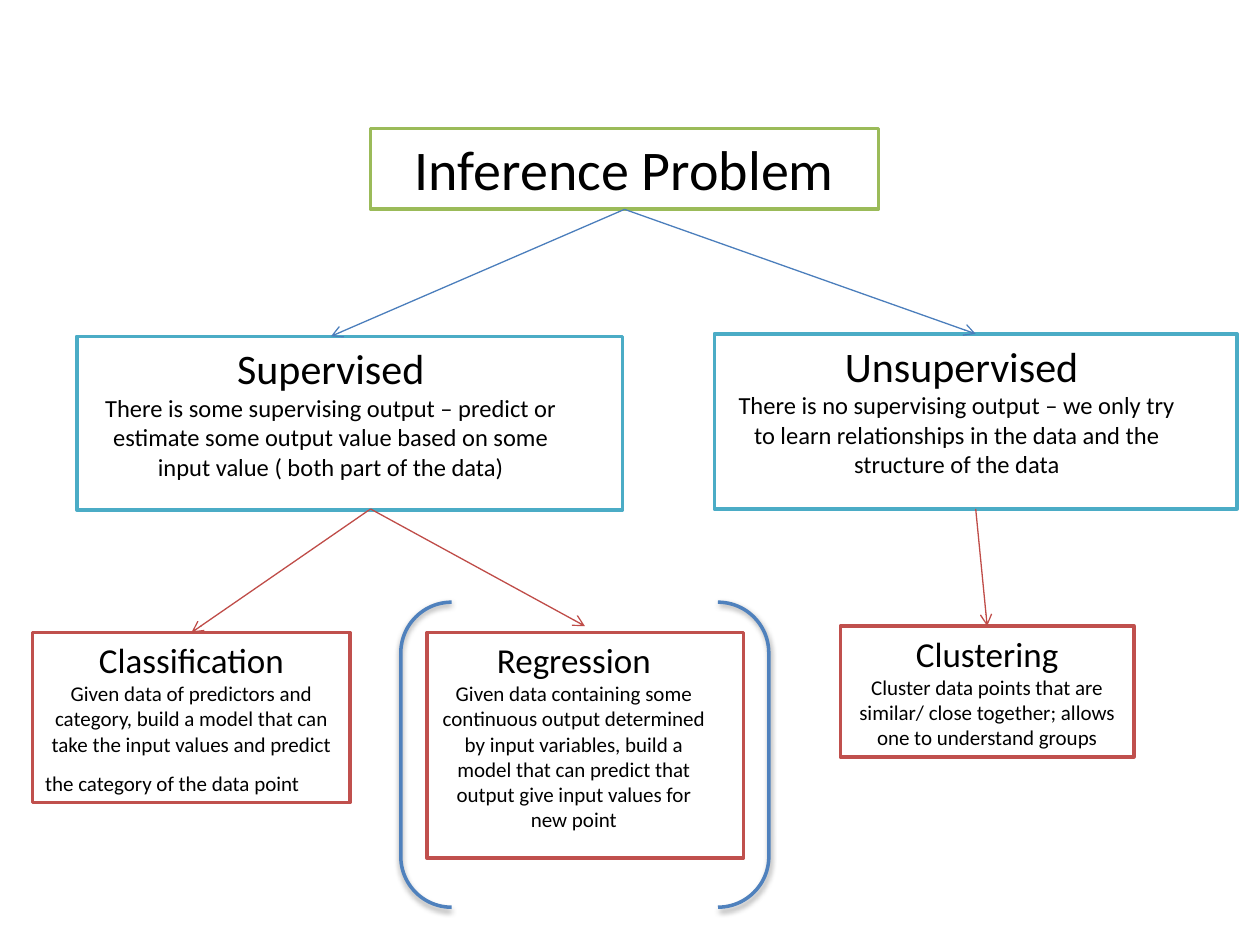
from lxml import etree
from pptx import Presentation
from pptx.dml.color import RGBColor
from pptx.enum.shapes import MSO_CONNECTOR, MSO_SHAPE
from pptx.enum.text import MSO_ANCHOR, PP_ALIGN
from pptx.oxml import parse_xml
from pptx.oxml.ns import nsdecls, qn
from pptx.util import Cm, Pt

RECT = MSO_SHAPE.RECTANGLE
PAIR = MSO_SHAPE.DOUBLE_BRACKET
LINE = MSO_CONNECTOR.STRAIGHT
MID = PP_ALIGN.CENTER
TOP = MSO_ANCHOR.TOP
GREEN, TEAL, RED, BLUE = "9BBB59", "4BACC6", "C0504D", "4F81BD"
NAVY, RUST = "4B7EBC", "BF4C48"
SHADE = (
    f'<a:effectLst {nsdecls("a")}><a:outerShdw blurRad="40000" dist="20000" '
    'dir="5400000" rotWithShape="0"><a:srgbClr val="000000">'
    '<a:alpha val="38000"/></a:srgbClr></a:outerShdw></a:effectLst>'
)


def tint(code):
    return RGBColor.from_string(code)


class Chart:
    font = "Calibri"
    ink = "000000"
    paper = "FFFFFF"
    edge = Pt(2)
    thin = Pt(0.75)

    def __init__(self, slide):
        self.slide = slide
        self.shapes = slide.shapes

    def box(self, place, color):
        box = self.shapes.add_shape(RECT, *map(Cm, place))
        box.shadow.inherit = False
        box.fill.solid()
        box.fill.fore_color.rgb = tint(self.paper)
        box.line.color.rgb = tint(color)
        box.line.width = self.edge
        return box

    def label(self, shape, lines, sizes):
        frame = shape.text_frame
        frame.word_wrap = True
        frame.vertical_anchor = TOP
        frame.text = "\n".join(lines)
        for para, size in zip(frame.paragraphs, sizes):
            para.alignment = MID
            for run in para.runs:
                self.style(run, size)

    def style(self, run, size):
        run.font.size = Pt(size)
        run.font.name = self.font
        run.font.color.rgb = tint(self.ink)

    def node(self, place, color, lines, sizes):
        box = self.box(place, color)
        self.label(box, lines, sizes)
        return box

    def card(self, place, width, color, lines, sizes):
        left, top, _, height = place
        box = self.box(place, color)
        text = self.shapes.add_textbox(Cm(left), Cm(top), Cm(width), Cm(height))
        self.label(text, lines, sizes)
        self.shapes.add_group_shape([box, text])
        return box, text

    def arrow(self, start, end, color, head=None, foot=None):
        link = self.shapes.add_connector(LINE, *map(Cm, start + end))
        if head:
            link.begin_connect(head, 2)
        if foot:
            link.end_connect(foot, 0)
        link.line.color.rgb = tint(color)
        link.line.width = self.thin
        props = link._element.spPr
        etree.SubElement(props.find(qn("a:ln")), qn("a:tailEnd"), type="arrow")
        etree.SubElement(props, qn("a:effectLst"))

    def bracket(self, place, color):
        pair = self.shapes.add_shape(PAIR, *map(Cm, place))
        pair.fill.background()
        pair.line.color.rgb = tint(color)
        pair.line.width = self.edge
        pair._element.spPr.append(parse_xml(SHADE))


def main():
    deck = Presentation()
    deck.slide_width, deck.slide_height = Cm(25.4), Cm(19.05)
    chart = Chart(deck.slides.add_slide(deck.slide_layouts[6]))

    root = chart.node((7.47, 2.59, 10.24, 1.63), GREEN, ["Inference Problem"], [32])
    free, _ = chart.card((14.4, 6.73, 10.54, 3.53), 9.78, TEAL, [
        " Unsupervised",
        "There is no supervising output – we only try to learn relationships "
        "in the data and the structure of the data",
    ], [24, 14])
    _, led = chart.card((1.55, 6.78, 11, 3.5), 10.24, TEAL, [
        "Supervised",
        "There is some supervising output – predict or estimate some output "
        "value based on some input value ( both part of the data)",
    ], [24, 14])
    sort, text = chart.card((0.66, 12.75, 6.4, 3.43), 6.4, RED, [
        "Classification",
        "Given data of predictors and category, build a model that can take "
        "the input values and predict the category of the data point",
    ], [20, 12])
    tab = text.text_frame.paragraphs[1].add_run()
    tab.text = "\t"
    chart.style(tab, 20)
    chart.card((8.61, 12.75, 6.38, 4.55), 5.92, RED, [
        "Regression",
        "Given data containing some continuous output determined by input "
        "variables, build a model that can predict that output give input "
        "values for new point",
    ], [20, 12])
    group = chart.node((16.94, 12.62, 5.92, 2.64), RED, [
        "Clustering",
        "Cluster data points that are similar/ close together; allows one to "
        "understand groups",
    ], [20, 12])

    crown, fork, base = (12.59, 4.22), (7.47, 10.26), (19.67, 10.26)
    chart.arrow(crown, (19.67, 6.73), NAVY, root, free)
    chart.arrow(crown, (6.67, 6.78), NAVY, root, led)
    chart.arrow(fork, (3.86, 12.75), RUST, foot=sort)
    chart.arrow(fork, (11.79, 12.62), RUST)
    chart.arrow(base, (19.9, 12.62), RUST, free, group)
    chart.bracket((8.08, 12.14, 7.42, 6.15), BLUE)
    deck.save("out.pptx")


if __name__ == "__main__":
    main()
